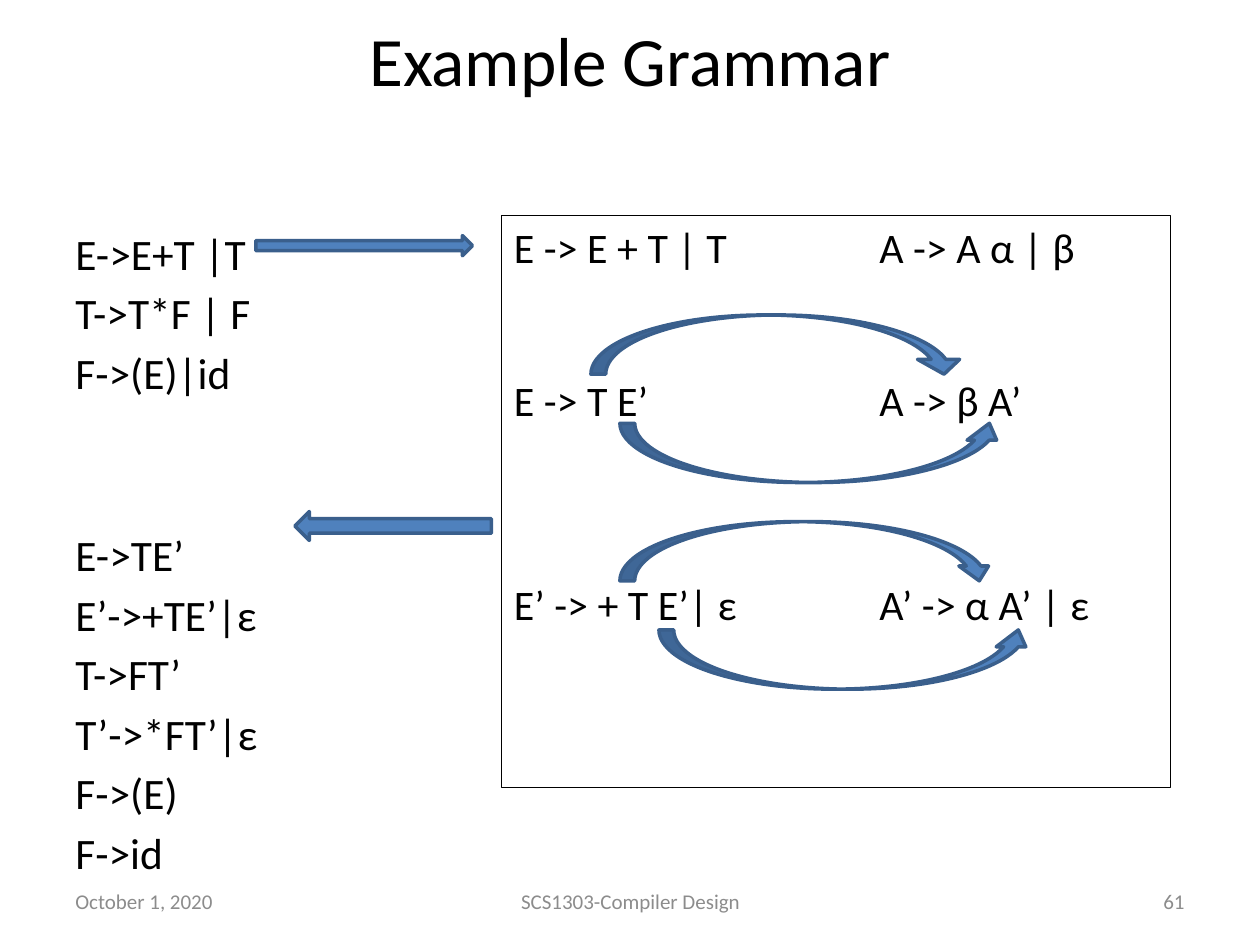
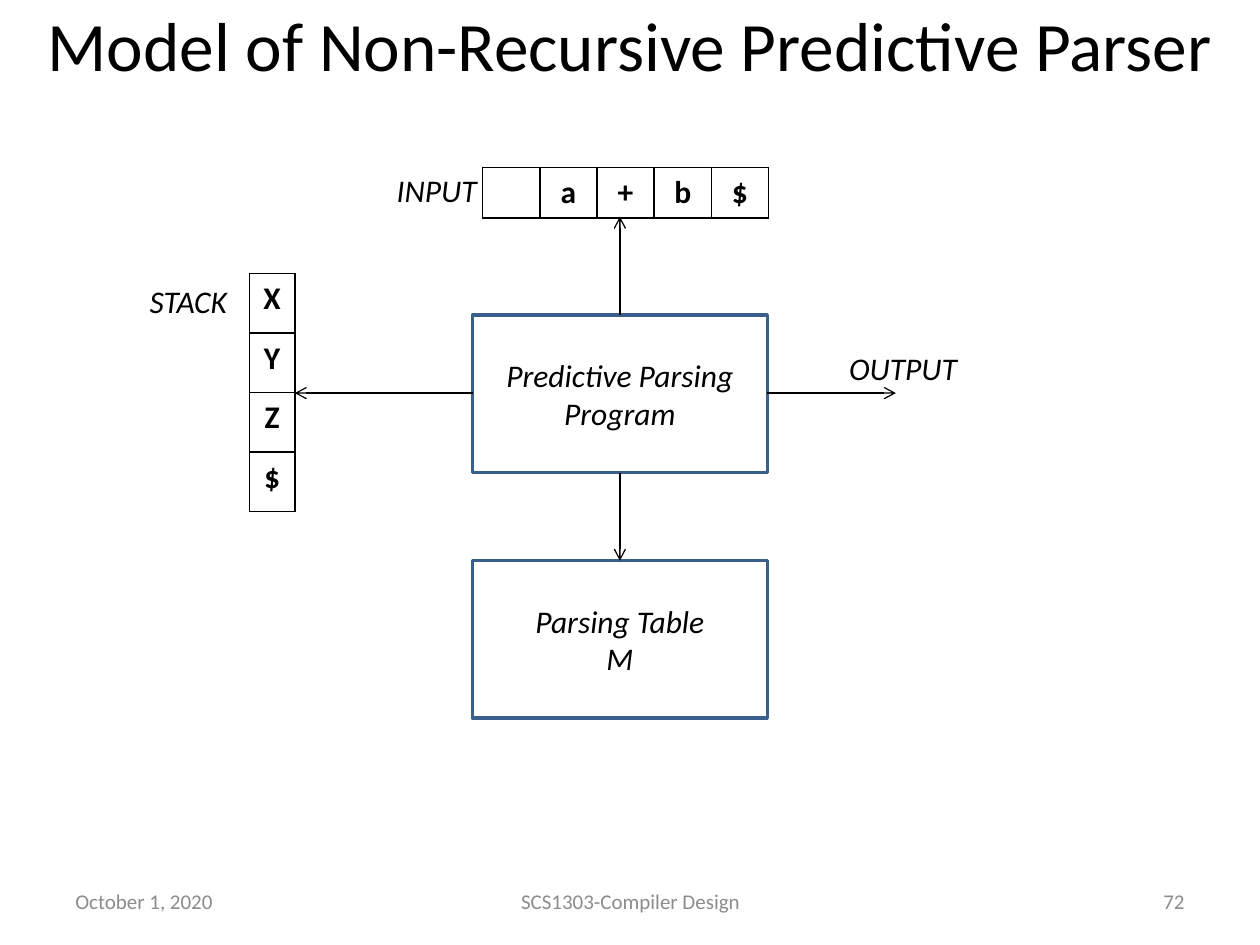
from dataclasses import dataclass

from lxml import etree
from pptx import Presentation
from pptx.dml.color import RGBColor
from pptx.enum.shapes import MSO_CONNECTOR, MSO_SHAPE
from pptx.enum.text import MSO_ANCHOR, PP_ALIGN
from pptx.oxml.ns import qn
from pptx.util import Emu, Pt

LEFT, CENTER, RIGHT = PP_ALIGN.LEFT, PP_ALIGN.CENTER, PP_ALIGN.RIGHT
TOP, MIDDLE = MSO_ANCHOR.TOP, MSO_ANCHOR.MIDDLE
RECTANGLE = MSO_SHAPE.RECTANGLE
RIGHT_ARROW, LEFT_ARROW = MSO_SHAPE.RIGHT_ARROW, MSO_SHAPE.LEFT_ARROW
CURVED_DOWN, CURVED_UP = MSO_SHAPE.CURVED_DOWN_ARROW, MSO_SHAPE.CURVED_UP_ARROW
STRAIGHT = MSO_CONNECTOR.STRAIGHT

EMU_PER_PX = 9144  # 100 px to the inch
SLIDE_W, SLIDE_H = 1000, 750


@dataclass(frozen=True)
class Theme:
    font: str = "Calibri"
    ink: str = "000000"
    paper: str = "FFFFFF"
    accent: str = "4F81BD"
    accent_edge: str = "3A5F8C"
    muted: str = "8C8C8C"
    title_size: float = 39.6
    grammar_size: float = 24.8
    rule_size: float = 24
    label_size: float = 18
    footer_size: float = 12
    edge_width: float = 2
    thin_width: float = 0.75
    cell_border: float = 1


@dataclass(frozen=True)
class Box:
    left: int
    top: int
    width: int
    height: int

    def emu(self) -> tuple:
        return tuple(px(v) for v in (self.left, self.top, self.width, self.height))


@dataclass(frozen=True)
class TextStyle:
    size: float
    color: str
    align: PP_ALIGN = LEFT
    anchor: MSO_ANCHOR = TOP
    bold: bool = False
    italic: bool = False


@dataclass(frozen=True)
class Line:
    text: str
    space_before: float = 0
    tab: int = 0


@dataclass(frozen=True)
class BlockArrow:
    kind: MSO_SHAPE
    box: Box
    adjustments: tuple = ()


@dataclass(frozen=True)
class Flow:
    start: tuple
    end: tuple


THEME = Theme()
TITLE = TextStyle(THEME.title_size, THEME.ink, CENTER, MIDDLE)
GRAMMAR = TextStyle(THEME.grammar_size, THEME.ink)
RULE = TextStyle(THEME.rule_size, THEME.ink)
LABEL = TextStyle(THEME.label_size, THEME.ink, italic=True)
BLOCK = TextStyle(THEME.label_size, THEME.ink, CENTER, MIDDLE, italic=True)
SYMBOL = TextStyle(THEME.label_size, THEME.ink, CENTER, bold=True)

# Footer: date, course and slide number
FOOTER_DATE = Box(50, 695, 233, 40)
FOOTER_COURSE = Box(342, 695, 317, 40)
FOOTER_NUMBER = Box(717, 695, 233, 40)


def px(value: int) -> Emu:
    return Emu(value * EMU_PER_PX)


def rgb(color: str) -> RGBColor:
    return RGBColor.from_string(color)


def write(frame, lines: list, style: TextStyle) -> None:
    frame.word_wrap = True
    frame.vertical_anchor = style.anchor
    frame.text = "\n".join(line.text for line in lines)
    for paragraph, line in zip(frame.paragraphs, lines):
        paragraph.alignment = style.align
        if line.space_before:
            paragraph.space_before = Pt(line.space_before)
        if line.tab:
            tabs = etree.SubElement(paragraph._p.get_or_add_pPr(), qn("a:tabLst"))
            etree.SubElement(tabs, qn("a:tab"), pos=str(px(line.tab)), algn="l")
        for run in paragraph.runs:
            font = run.font
            font.name, font.size = THEME.font, Pt(style.size)
            font.bold, font.italic = style.bold, style.italic
            font.color.rgb = rgb(style.color)


def add_text(slide, box: Box, lines: list, style: TextStyle) -> None:
    write(slide.shapes.add_textbox(*box.emu()).text_frame, lines, style)


def add_shape(slide, kind: MSO_SHAPE, box: Box, fill: str, edge: str, width: float):
    shape = slide.shapes.add_shape(kind, *box.emu())
    shape.shadow.inherit = False
    shape.fill.solid()
    shape.fill.fore_color.rgb = rgb(fill)
    shape.line.color.rgb = rgb(edge)
    shape.line.width = Pt(width)
    return shape


def add_block_arrow(slide, arrow: BlockArrow) -> None:
    shape = add_shape(slide, arrow.kind, arrow.box, THEME.accent,
                      THEME.accent_edge, THEME.edge_width)
    for index, value in enumerate(arrow.adjustments):
        shape.adjustments[index] = value


def add_flow(slide, flow: Flow) -> None:
    connector = slide.shapes.add_connector(
        STRAIGHT, *(px(v) for v in flow.start + flow.end))
    connector.line.color.rgb = rgb(THEME.ink)
    connector.line.width = Pt(THEME.thin_width)
    etree.SubElement(connector.line._get_or_add_ln(), qn("a:tailEnd"), type="arrow")
    etree.SubElement(connector._element.spPr, qn("a:effectLst"))


def add_border(cell) -> None:
    properties = cell._tc.get_or_add_tcPr()
    for side in ("lnL", "lnR", "lnT", "lnB"):
        edge = etree.SubElement(properties, qn(f"a:{side}"),
                                w=str(Pt(THEME.cell_border)))
        fill = etree.SubElement(edge, qn("a:solidFill"))
        etree.SubElement(fill, qn("a:srgbClr"), val=THEME.ink)


def add_symbols(slide, box: Box, rows: list) -> None:
    table = slide.shapes.add_table(len(rows), len(rows[0]), *box.emu()).table
    table.first_row = table.horz_banding = False
    for r, row in enumerate(rows):
        for c, symbol in enumerate(row):
            cell = table.cell(r, c)
            add_border(cell)
            cell.fill.background()
            write(cell.text_frame, [Line(symbol)], SYMBOL)


def add_slide(deck, title: str, title_box: Box, number: int):
    slide = deck.slides.add_slide(deck.slide_layouts[6])
    add_text(slide, title_box, [Line(title)], TITLE)
    footer = ((FOOTER_DATE, "October 1, 2020", LEFT),
              (FOOTER_COURSE, "SCS1303-Compiler Design", CENTER),
              (FOOTER_NUMBER, str(number), RIGHT))
    for box, text, align in footer:
        style = TextStyle(THEME.footer_size, THEME.muted, align, MIDDLE)
        add_text(slide, box, [Line(text)], style)
    return slide


def build_grammar(deck) -> None:
    slide = add_slide(deck, "Example Grammar", Box(50, 8, 900, 78), 61)

    # Grammar before and after removing left recursion
    step, section = 4.3, 74.3
    add_text(slide, Box(50, 175, 900, 495), [
        Line("E->E+T |T"),
        Line("T->T*F | F", step),
        Line("F->(E)|id", step),
        Line("E->TE’", section),
        Line("E’->+TE’|ε", step),
        Line("T->FT’", step),
        Line("T’->*FT’|ε", step),
        Line("F->(E)", step),
        Line("F->id", step),
    ], GRAMMAR)

    # Each rule beside its general pattern
    pattern_tab = 290
    rules = add_shape(slide, RECTANGLE, Box(398, 171, 531, 454), THEME.paper,
                      THEME.ink, THEME.thin_width)
    write(rules.text_frame, [
        Line("E -> E + T | T\tA -> A α | β", 0, pattern_tab),
        Line("E -> T E’\tA -> β A’", 58.6, pattern_tab),
        Line("E’ -> + T E’| ε\tA’ -> α A’ | ε", 87.9, pattern_tab),
    ], RULE)

    # Arrows into and out of the box, and between matching symbols
    upward = (0.25, 0.5, 0.285)
    for arrow in (
        BlockArrow(RIGHT_ARROW, Box(203, 187, 172, 16)),
        BlockArrow(CURVED_DOWN, Box(469, 250, 297, 47), (0.25, 0.712, 0.25)),
        BlockArrow(CURVED_UP, Box(492, 336, 305, 47), upward),
        BlockArrow(CURVED_DOWN, Box(492, 414, 297, 47)),
        BlockArrow(CURVED_UP, Box(523, 500, 297, 47), upward),
        BlockArrow(LEFT_ARROW, Box(234, 406, 156, 23)),
    ):
        add_block_arrow(slide, arrow)


def build_parser_model(deck) -> None:
    slide = add_slide(deck, "Model of Non-Recursive Predictive Parser",
                      Box(0, 0, SLIDE_W, 70), 72)

    # Input buffer and stack
    add_symbols(slide, Box(383, 133, 227, 40), [["", "a", "+", "b", "$"]])
    add_symbols(slide, Box(198, 217, 36, 189), [["X"], ["Y"], ["Z"], ["$"]])

    # Program and parsing table
    program = Box(375, 250, 234, 125)
    parsing_table = Box(375, 445, 234, 125)
    for box, lines in (
        (program, [Line("Predictive Parsing Program")]),
        (parsing_table, [Line("Parsing Table"), Line("M")]),
    ):
        block = add_shape(slide, RECTANGLE, box, THEME.paper,
                          THEME.accent_edge, THEME.edge_width)
        write(block.text_frame, lines, BLOCK)

    # Flows from the program
    middle_x = program.left + program.width // 2
    middle_y = program.top + program.height // 2
    bottom = program.top + program.height
    right = program.left + program.width
    for flow in (
        Flow((middle_x, program.top), (middle_x, 172)),
        Flow((program.left, middle_y), (234, middle_y)),
        Flow((middle_x, bottom), (middle_x, parsing_table.top)),
        Flow((right, middle_y), (711, middle_y)),
    ):
        add_flow(slide, flow)

    # Labels
    for box, name in ((Box(664, 272, 133, 40), "OUTPUT"),
                      (Box(305, 131, 86, 40), "INPUT"),
                      (Box(109, 219, 94, 40), "STACK")):
        add_text(slide, box, [Line(name)], LABEL)


def main() -> None:
    deck = Presentation()
    deck.slide_width, deck.slide_height = px(SLIDE_W), px(SLIDE_H)
    build_grammar(deck)
    build_parser_model(deck)
    deck.save("out.pptx")


if __name__ == "__main__":
    main()
